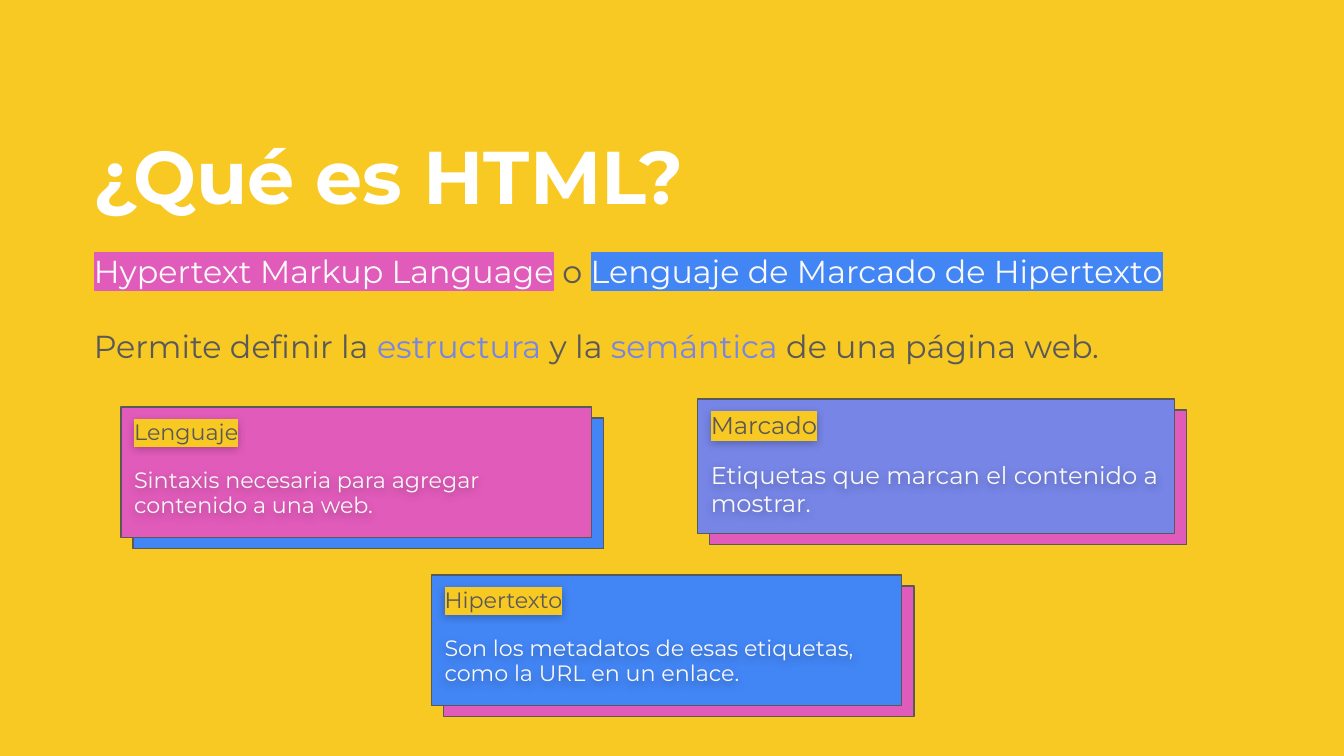
from dataclasses import dataclass

from lxml.etree import SubElement
from pptx import Presentation
from pptx.dml.color import RGBColor
from pptx.enum.shapes import MSO_SHAPE
from pptx.enum.text import MSO_ANCHOR
from pptx.oxml import parse_xml
from pptx.oxml.ns import nsdecls, qn
from pptx.util import Inches, Pt


@dataclass(frozen=True)
class Theme:
    font: str = "Montserrat"
    yellow: str = "F8C823"
    pink: str = "E15BBA"
    blue: str = "4285F4"
    violet: str = "7685E6"
    gray: str = "595959"
    light: str = "F9F9F9"
    white: str = "FFFFFF"
    title: float = 40
    body: float = 17
    card: float = 11.9
    card_large: float = 12.94


theme = Theme()


def add_text_box(s, left, top, width, height):
    box = s.shapes.add_textbox(Inches(left), Inches(top), Inches(width), Inches(height))
    tf = box.text_frame
    tf.word_wrap = True
    tf.margin_left = tf.margin_right = tf.margin_top = tf.margin_bottom = Inches(0.1)
    return box


def add_run(p, text, size, color, highlight=None, bold=False):
    r = p.add_run()
    r.text = text
    r.font.size = Pt(size)
    r.font.bold = bold
    r.font.color.rgb = RGBColor.from_string(color)
    if highlight:
        mark = SubElement(r.font._element, qn("a:highlight"))
        SubElement(mark, qn("a:srgbClr"), val=highlight)
    r.font.name = theme.font


prs = Presentation()
prs.slide_width = Inches(10)
prs.slide_height = Inches(10) * 9 // 16
s = prs.slides.add_slide(prs.slide_layouts[6])
s.background.fill.solid()
s.background.fill.fore_color.rgb = RGBColor.from_string(theme.yellow)

tf = add_text_box(s, 0.6, 0.01, 8.8, 1.72).text_frame
tf.vertical_anchor = MSO_ANCHOR.BOTTOM
add_run(tf.paragraphs[0], "¿Qué es HTML?", theme.title, theme.white, bold=True)

tf = add_text_box(s, 0.6, 1.77, 8.8, 1.06).text_frame
p = tf.paragraphs[0]
for text, color, highlight in [
    ("Hypertext Markup Language", theme.light, theme.pink),
    (" o ", theme.gray, None),
    ("Lenguaje de Marcado de Hipertexto", theme.light, theme.blue),
]:
    add_run(p, text, theme.body, color, highlight)

p = tf.add_paragraph()
p.space_before = Pt(20)
for text, color in [
    ("Permite definir la ", theme.gray),
    ("estructura", theme.violet),
    (" y la ", theme.gray),
    ("semántica", theme.violet),
    (" de una página web.", theme.gray),
]:
    add_run(p, text, theme.body, color)

cards = [
    (0.9, 3.03, 3.5, 0.97, theme.pink, theme.blue, theme.card,
     "Lenguaje", "Sintaxis necesaria para agregar contenido a una web."),
    (5.19, 2.97, 3.55, 1, theme.violet, theme.pink, theme.card_large,
     "Marcado", "Etiquetas que marcan el contenido a mostrar."),
    (3.21, 4.28, 3.5, 0.97, theme.blue, theme.pink, theme.card,
     "Hipertexto", "Son los metadatos de esas etiquetas, como la URL en un enlace."),
]
for left, top, width, height, front, back, size, heading, detail in cards:
    for dx, dy, color in [(0.09, 0.08, back), (0, 0, front)]:
        sp = s.shapes.add_shape(MSO_SHAPE.RECTANGLE, Inches(left + dx), Inches(top + dy),
                                Inches(width), Inches(height))
        sp.shadow.inherit = False
        sp.fill.solid()
        sp.fill.fore_color.rgb = RGBColor.from_string(color)
        sp.line.color.rgb = RGBColor.from_string(theme.gray)
        sp.line.width = Pt(0.75)

    box = add_text_box(s, left, top, width, height)
    box._element.spPr.append(parse_xml(
        f'<a:effectLst {nsdecls("a")}>'
        '<a:outerShdw blurRad="57150" dist="19050" dir="5400000" algn="bl" rotWithShape="0">'
        '<a:srgbClr val="000000"><a:alpha val="25000"/></a:srgbClr>'
        '</a:outerShdw></a:effectLst>'))
    tf = box.text_frame
    p = tf.paragraphs[0]
    p.line_spacing = 0.95
    add_run(p, heading, size, theme.gray, theme.yellow)
    p = tf.add_paragraph()
    p.line_spacing = 0.95
    p.space_before = Pt(12)
    add_run(p, detail, size, theme.light)

prs.save("out.pptx")
